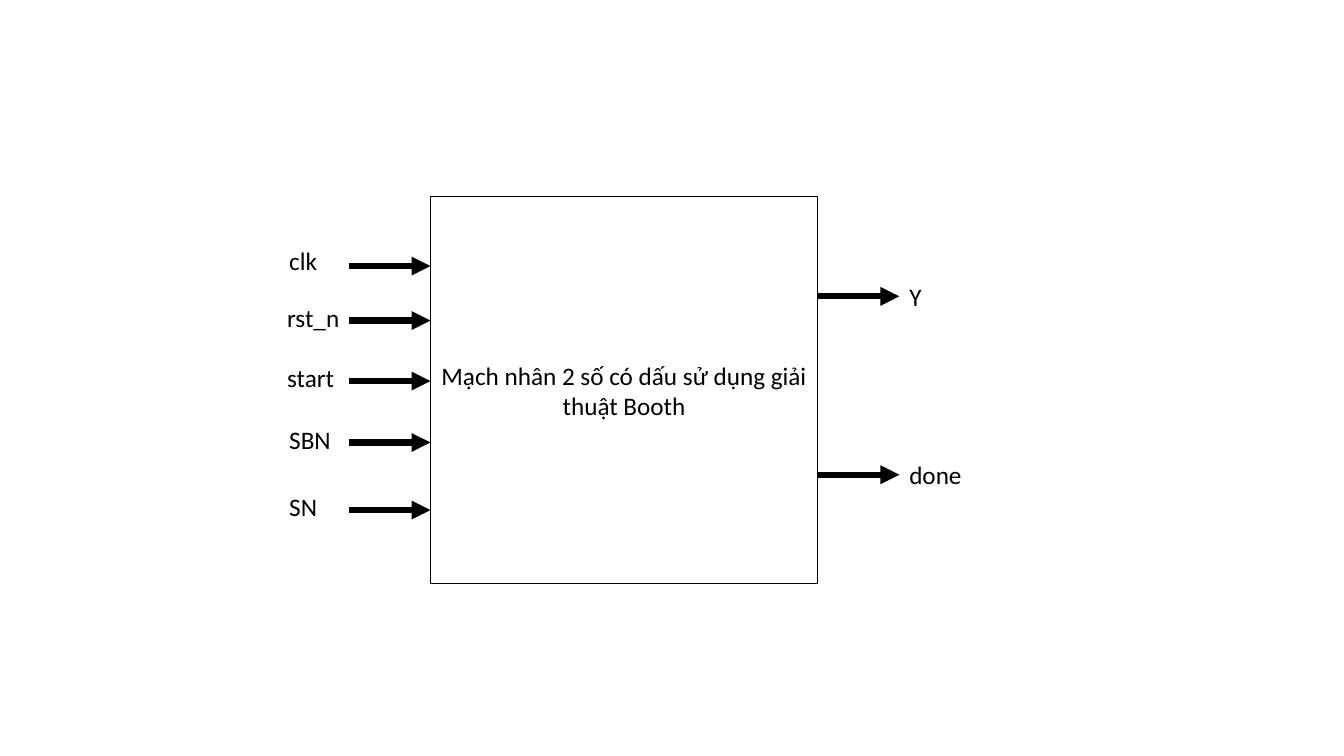
from dataclasses import dataclass

from lxml.etree import SubElement
from pptx import Presentation
from pptx.dml.color import RGBColor
from pptx.enum.shapes import MSO_CONNECTOR, MSO_SHAPE
from pptx.enum.text import MSO_ANCHOR, MSO_AUTO_SIZE, PP_ALIGN
from pptx.oxml.ns import qn
from pptx.util import Inches, Pt


@dataclass(frozen=True)
class Theme:
    ink: RGBColor = RGBColor(0x00, 0x00, 0x00)
    paper: RGBColor = RGBColor(0xFF, 0xFF, 0xFF)
    font: str = "Calibri"
    text_size: Pt = Pt(18)
    border: Pt = Pt(1)
    arrow: Pt = Pt(4.5)


theme = Theme()
presentation = Presentation()
presentation.slide_width = Inches(13.33)
presentation.slide_height = Inches(7.5)
slide = presentation.slides.add_slide(presentation.slide_layouts[6])


def write(paragraph, text):
    run = paragraph.add_run()
    run.text = text
    run.font.name = theme.font
    run.font.size = theme.text_size
    run.font.color.rgb = theme.ink


def add_signal_arrow(left, y):
    """Draw a thick arrow pointing right, as long as every signal wire."""
    arrow = slide.shapes.add_connector(
        MSO_CONNECTOR.STRAIGHT,
        Inches(left), Inches(y), Inches(left + wire_length), Inches(y))
    arrow.line.color.rgb = theme.ink
    arrow.line.width = theme.arrow
    SubElement(arrow.line._get_or_add_ln(), qn("a:tailEnd"), type="triangle")
    SubElement(arrow._element.spPr, qn("a:effectLst"))


# Circuit block
block_left, block_top, block_side = 4.27, 1.95, 3.84
block_right = block_left + block_side
wire_length = 0.81

block = slide.shapes.add_shape(
    MSO_SHAPE.RECTANGLE, Inches(block_left), Inches(block_top),
    Inches(block_side), Inches(block_side))
block.shadow.inherit = False
block.fill.solid()
block.fill.fore_color.rgb = theme.paper
block.line.color.rgb = theme.ink
block.line.width = theme.border
block.text_frame.word_wrap = True
block.text_frame.vertical_anchor = MSO_ANCHOR.MIDDLE
block_title = block.text_frame.paragraphs[0]
block_title.alignment = PP_ALIGN.CENTER
write(block_title, "Mạch nhân 2 số có dấu sử dụng giải thuật Booth")

# Signal wires
input_wires = [2.64, 3.18, 3.78, 4.39, 5.06]
output_wires = [2.94, 4.71]
for y in input_wires:
    add_signal_arrow(block_left - wire_length, y)
for y in output_wires:
    add_signal_arrow(block_right, y)

# Signal names: text, left, top, width
label_height = 0.4
output_left = block_right + wire_length
signal_labels = [
    ("clk", 2.77, 2.38, 0.68),
    ("rst_n", 2.75, 2.95, 0.8),
    ("start", 2.75, 3.55, 0.7),
    ("SBN", 2.77, 4.16, 0.68),
    ("SN", 2.77, 4.83, 0.68),
    ("Y", output_left, 2.74, 0.34),
    ("done", output_left, 4.51, 0.73),
]
for name, left, top, width in signal_labels:
    label = slide.shapes.add_textbox(
        Inches(left), Inches(top), Inches(width), Inches(label_height))
    label.text_frame.word_wrap = True
    label.text_frame.auto_size = MSO_AUTO_SIZE.SHAPE_TO_FIT_TEXT
    write(label.text_frame.paragraphs[0], name)

presentation.save("out.pptx")
